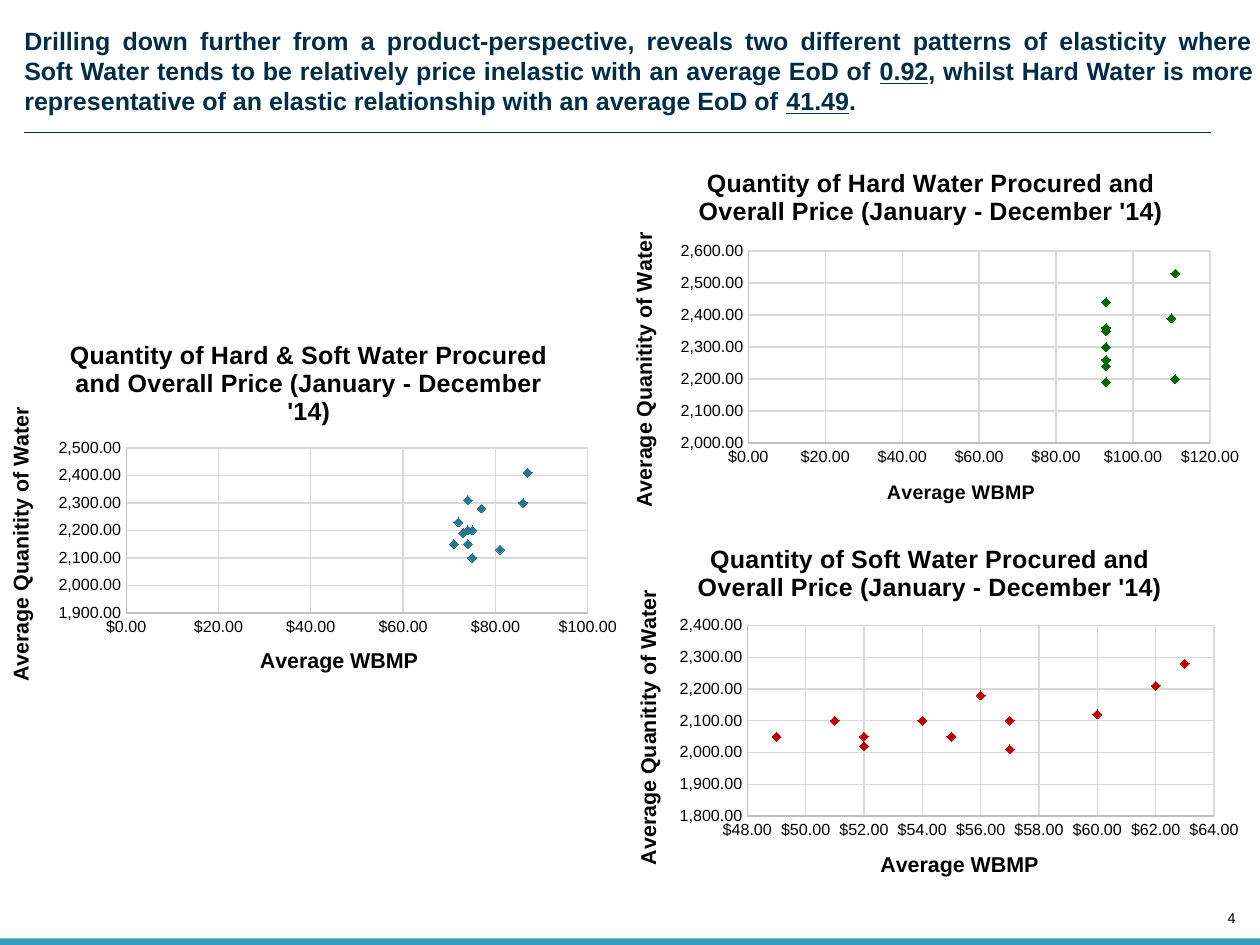
"""Build the slide on price elasticity of hard and soft water."""
from lxml import etree
from pptx import Presentation
from pptx.chart.data import XyChartData
from pptx.dml.color import RGBColor
from pptx.enum.chart import XL_CHART_TYPE, XL_MARKER_STYLE, XL_TICK_MARK
from pptx.enum.shapes import MSO_CONNECTOR, MSO_SHAPE
from pptx.enum.text import MSO_ANCHOR, MSO_AUTO_SIZE, PP_ALIGN
from pptx.oxml.ns import qn
from pptx.util import Cm, Pt

COLORS = {
    "navy": "002C46", "bar": "379BBD", "black": "000000", "axis": "BFBFBF",
    "grid": "D9D9D9", "both": "29748E", "hard": "006600", "soft": "C00000",
}


def style_font(font, size, color="black", bold=False):
    font.name, font.size, font.bold = "Arial", Pt(size), bold
    font.color.rgb = RGBColor.from_string(COLORS[color])


def set_layout(parent, index, **percents):
    for old in parent.findall(qn("c:layout")):
        parent.remove(old)
    layout = etree.Element(qn("c:layout"))
    parent.insert(index, layout)
    manual = etree.SubElement(layout, qn("c:manualLayout"))
    if "w" in percents:
        etree.SubElement(manual, qn("c:layoutTarget")).set("val", "inner")
    for key in "xy":
        etree.SubElement(manual, qn(f"c:{key}Mode")).set("val", "edge")
    for key, value in percents.items():
        etree.SubElement(manual, qn(f"c:{key}")).set("val", str(value / 100))


prs = Presentation()
prs.slide_width, prs.slide_height = Cm(24.89), Cm(18.67)
s = prs.slides.add_slide(prs.slide_layouts[5])

bar = s.shapes.add_shape(MSO_SHAPE.RECTANGLE, 0, Cm(18.54), prs.slide_width, Cm(0.13))
bar.shadow.inherit = False
bar.fill.solid()
bar.fill.fore_color.rgb = RGBColor.from_string(COLORS["bar"])
bar.line.fill.background()

number = s.shapes.add_textbox(Cm(23.66), Cm(17.98), Cm(0.75), Cm(0.33))
title = s.shapes.title
title.left, title.top, title.width, title.height = Cm(0.48), Cm(0.51), Cm(24.28), Cm(1.8)
for sp, anchor in ((number, MSO_ANCHOR.BOTTOM), (title, MSO_ANCHOR.TOP)):
    tf = sp.text_frame
    tf.margin_left = tf.margin_right = tf.margin_top = tf.margin_bottom = 0
    tf.word_wrap, tf.auto_size, tf.vertical_anchor = True, MSO_AUTO_SIZE.NONE, anchor

p = number.text_frame.paragraphs[0]
p.alignment = PP_ALIGN.RIGHT
r = p.add_run()
r.text = "4"
style_font(r.font, 8)

p = title.text_frame.paragraphs[0]
p.alignment, p.line_spacing = PP_ALIGN.JUSTIFY, 1.0
TITLE_RUNS = [
    ("Drilling down further from a product-perspective, reveals two different "
     "patterns of elasticity where", False),
    ("Soft Water tends to be relatively price inelastic with an average EoD of ", False),
    ("0.92", True),
    (", whilst Hard Water is more representative of an elastic relationship "
     "with an average EoD of ", False),
    ("41.49", True),
    (".", False),
]
for i, (text, underlined) in enumerate(TITLE_RUNS):
    if i == 1:
        p.add_line_break()
    r = p.add_run()
    r.text = text
    style_font(r.font, 14, "navy", True)
    r.font.underline = underlined

rule = s.shapes.add_connector(MSO_CONNECTOR.STRAIGHT, Cm(0.48), Cm(2.62), Cm(23.93), Cm(2.62))
rule.line.color.rgb = RGBColor.from_string(COLORS["navy"])
rule.line.width = Pt(0.75)
etree.SubElement(rule.element.spPr, qn("a:effectLst"))

CHARTS = [
    dict(product="Hard & Soft", color="both", left=-0.25, top=6.32, x_size=12,
         x_scale=(0, 100, 20), y_scale=(1900, 2500, 100),
         plot=dict(x=21.6, y=33.6, w=71.8, h=43.2),
         x_title=dict(x=41.8, y=84.8), y_title=dict(x=2.5, y=21.8),
         points=[(86, 2300), (87, 2410), (81, 2130), (73, 2190), (71, 2150), (72, 2230),
                 (77, 2280), (75, 2200), (74, 2150), (75, 2100), (74, 2200), (74, 2310)]),
    dict(product="Hard", color="hard", left=12.04, top=2.92, x_size=11,
         x_scale=(0, 120, 20), y_scale=(2000, 2600, 100),
         plot=dict(x=21.6, y=27.1, w=71.8, h=50.3),
         x_title=dict(x=42.6, y=85.7), y_title=dict(x=2.7, y=21.2),
         points=[(110, 2390), (111, 2530), (111, 2200), (93, 2350), (93, 2240), (93, 2360),
                 (93, 2440), (93, 2300), (93, 2260), (93, 2190), (93, 2300), (93, 2440)]),
    dict(product="Soft", color="soft", left=12.02, top=10.34, x_size=12,
         x_scale=(48, 64, 2), y_scale=(1800, 2400, 100),
         plot=dict(x=21.6, y=26.8, w=72.6, h=49.9),
         x_title=dict(x=41.7, y=84.8), y_title=dict(x=3.5, y=16.5),
         points=[(62, 2210), (63, 2280), (52, 2050), (52, 2020), (49, 2050), (51, 2100),
                 (60, 2120), (57, 2100), (55, 2050), (57, 2010), (54, 2100), (56, 2180)]),
]
for item in CHARTS:
    data = XyChartData()
    series_data = data.add_series("Series 1")
    for price, quantity in item["points"]:
        series_data.add_data_point(price, quantity)
    chart = s.shapes.add_chart(XL_CHART_TYPE.XY_SCATTER, Cm(item["left"]), Cm(item["top"]),
                               Cm(12.7), Cm(7.54), data).chart
    style_font(chart.font, 10)
    chart.has_legend = False
    chart.has_title = True
    r = chart.chart_title.text_frame.paragraphs[0].add_run()
    r.text = f"Quantity of {item['product']} Water Procured and Overall Price (January - December '14)"
    style_font(r.font, 14, bold=True)
    chart.plots[0].vary_by_categories = False
    set_layout(chart.element.find(".//" + qn("c:plotArea")), 0, **item["plot"])

    series = chart.plots[0].series[0]
    series.format.line.fill.background()
    series.marker.style, series.marker.size = XL_MARKER_STYLE.DIAMOND, 5
    series.marker.format.fill.solid()
    series.marker.format.fill.fore_color.rgb = RGBColor.from_string(COLORS[item["color"]])
    series.marker.format.line.color.rgb = RGBColor.from_string(COLORS[item["color"]])

    for axis, key, text, size, number_format in (
        (chart.category_axis, "x", "Average WBMP", item["x_size"], '"$"#,##0.00'),
        (chart.value_axis, "y", "Average Quanitity of Water", 12, "#,##0.00"),
    ):
        axis.minimum_scale, axis.maximum_scale, axis.major_unit = item[f"{key}_scale"]
        axis.major_tick_mark = axis.minor_tick_mark = XL_TICK_MARK.NONE
        axis.has_major_gridlines = True
        for line, color in ((axis.format.line, "axis"), (axis.major_gridlines.format.line, "grid")):
            line.color.rgb = RGBColor.from_string(COLORS[color])
            line.width = Pt(0.75)
        style_font(axis.tick_labels.font, 9)
        axis.tick_labels.number_format = number_format
        axis.tick_labels.number_format_is_linked = False
        r = axis.axis_title.text_frame.paragraphs[0].add_run()
        r.text = text
        style_font(r.font, size, bold=True)
        axis_title = axis.axis_title._element
        set_layout(axis_title, 1, **item[f"{key}_title"])
        if key == "y":
            body = axis_title.find(".//" + qn("a:bodyPr"))
            body.set("rot", "-5400000")
            body.set("vert", "horz")

prs.save("out.pptx")
